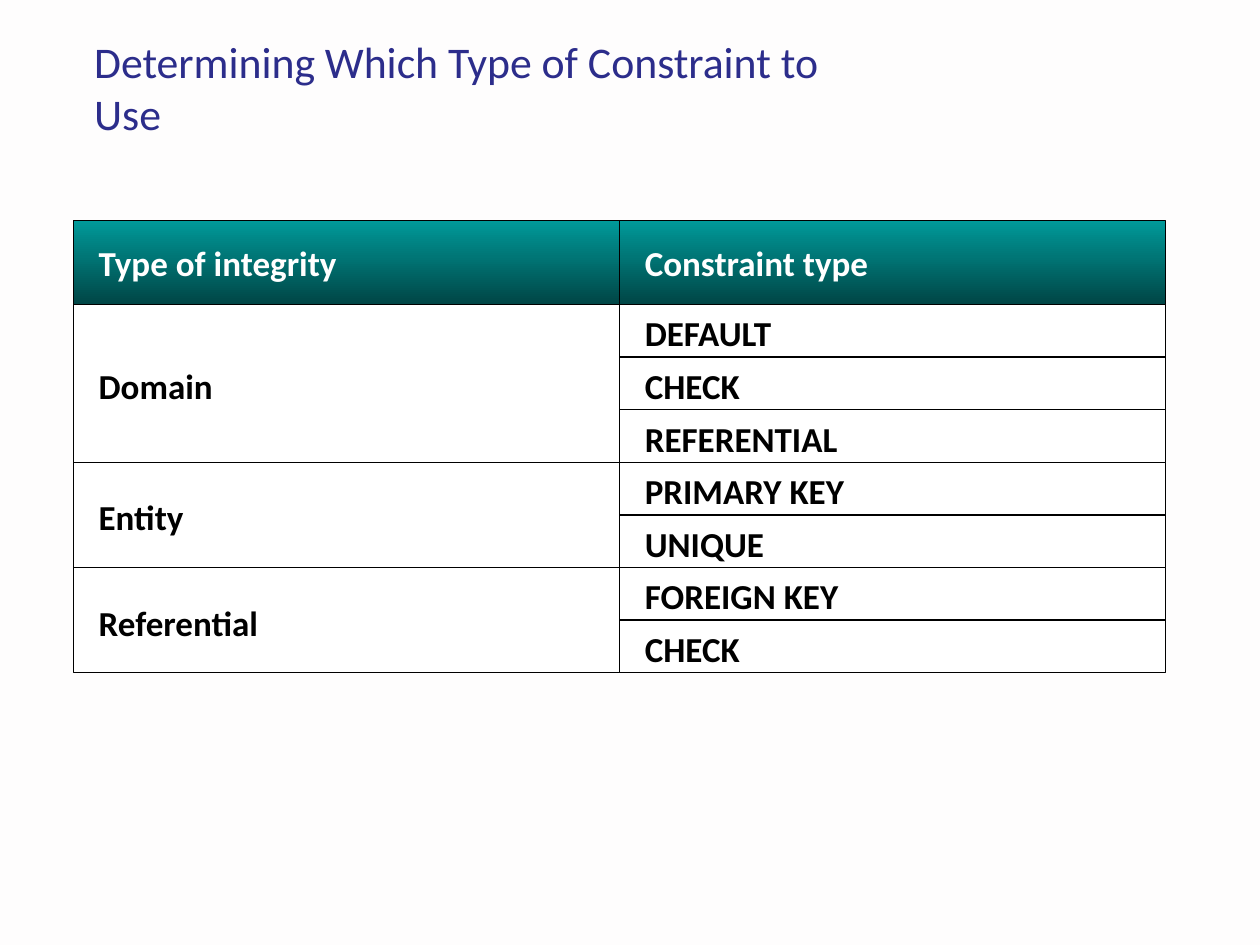
from dataclasses import dataclass

from pptx import Presentation
from pptx.dml.color import RGBColor
from pptx.enum.shapes import MSO_SHAPE
from pptx.enum.text import MSO_ANCHOR, MSO_AUTO_SIZE, PP_ALIGN
from pptx.shapes.autoshape import Shape
from pptx.slide import Slide
from pptx.text.text import Font
from pptx.util import Cm, Length, Pt

TITLE_COLOR = "2C2D8B"
HEADER_TOP = "009999"
HEADER_BOTTOM = "004646"
BLACK = "000000"
WHITE = "FFFFFF"
BACKGROUND = "FEFDFD"

GRID_LEFT = Cm(1.48)
GRID_TOP = Cm(4.45)
COLUMN_WIDTH = Cm(11.01)
HEADER_HEIGHT = Cm(1.69)
ROW_HEIGHT = Cm(1.06)


@dataclass(frozen=True)
class Integrity:
    name: str
    constraints: tuple[str, ...]


HEADINGS = ("Type of integrity", "Constraint type")
INTEGRITIES = (
    Integrity("Domain", ("DEFAULT", "CHECK", "REFERENTIAL")),
    Integrity("Entity", ("PRIMARY KEY", "UNIQUE")),
    Integrity("Referential", ("FOREIGN KEY", "CHECK")),
)


def color(value: str) -> RGBColor:
    return RGBColor.from_string(value)


def style_font(font: Font, size: float, value: str, bold: bool = False) -> None:
    font.name = "Calibri"
    font.size = Pt(size)
    font.bold = bold
    font.color.rgb = color(value)


def add_box(slide: Slide, text: str, column: int, top: int, height: int,
            text_color: str, line_spacing: float) -> Shape:
    """Add one outlined box of the grid, with its text at the left."""
    box = slide.shapes.add_shape(
        MSO_SHAPE.RECTANGLE, GRID_LEFT + column * COLUMN_WIDTH, top, COLUMN_WIDTH, height
    )
    box.shadow.inherit = False
    box.line.color.rgb = color(BLACK)
    box.line.width = Pt(0.75)
    frame = box.text_frame
    frame.word_wrap = False
    frame.vertical_anchor = MSO_ANCHOR.MIDDLE
    frame.margin_left, frame.margin_right = Cm(0.51), Cm(0.25)
    frame.margin_top = frame.margin_bottom = Cm(0.13)
    frame.text = text
    paragraph = frame.paragraphs[0]
    paragraph.alignment = PP_ALIGN.LEFT
    paragraph.line_spacing = line_spacing
    style_font(paragraph.font, 20, text_color, bold=True)
    return box


def add_heading(slide: Slide, text: str, column: int) -> None:
    fill = add_box(slide, text, column, GRID_TOP, HEADER_HEIGHT, WHITE, 1.0).fill
    fill.gradient()
    fill.gradient_angle = 270
    for stop, value in zip(fill.gradient_stops, (HEADER_TOP, HEADER_BOTTOM)):
        stop.color.rgb = color(value)


def add_entry(slide: Slide, text: str, column: int, row: int, row_span: int = 1) -> None:
    top = Length(GRID_TOP + HEADER_HEIGHT + row * ROW_HEIGHT)
    fill = add_box(slide, text, column, top, row_span * ROW_HEIGHT, BLACK, 1.1).fill
    fill.solid()
    fill.fore_color.rgb = color(WHITE)


def add_constraint_grid(slide: Slide) -> None:
    for column, heading in enumerate(HEADINGS):
        add_heading(slide, heading, column)
    first_row = 0
    for integrity in INTEGRITIES:
        row_span = len(integrity.constraints)
        add_entry(slide, integrity.name, 0, first_row, row_span)
        for row, constraint in enumerate(integrity.constraints, first_row):
            add_entry(slide, constraint, 1, row)
        first_row += row_span


def add_title(slide: Slide, text: str) -> None:
    frame = slide.shapes.add_textbox(Cm(1.9), Cm(0.7), Cm(15.77), Cm(2.13)).text_frame
    frame.word_wrap = True
    frame.auto_size = MSO_AUTO_SIZE.SHAPE_TO_FIT_TEXT
    frame.margin_left = frame.margin_right = frame.margin_top = frame.margin_bottom = 0
    frame.text = text
    style_font(frame.paragraphs[0].font, 25, TITLE_COLOR)


def main() -> None:
    presentation = Presentation()
    presentation.slide_width, presentation.slide_height = Cm(25.4), Cm(19.05)
    slide = presentation.slides.add_slide(presentation.slide_layouts[6])
    slide.background.fill.solid()
    slide.background.fill.fore_color.rgb = color(BACKGROUND)
    add_constraint_grid(slide)
    add_title(slide, "Determining Which Type of Constraint to Use")
    presentation.save("out.pptx")


if __name__ == "__main__":
    main()
